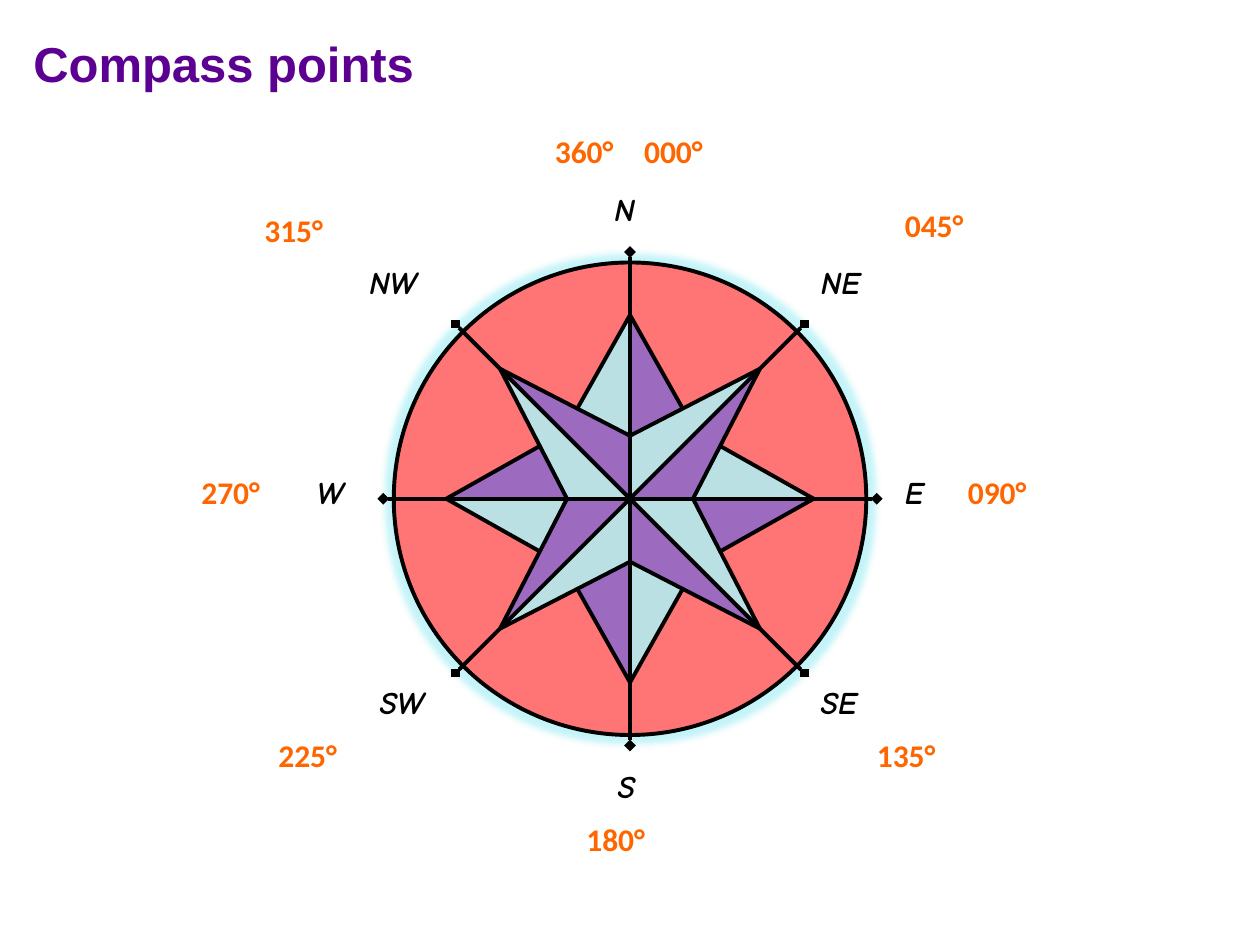
from math import cos, radians, sin

from lxml.etree import SubElement
from pptx import Presentation
from pptx.dml.color import RGBColor
from pptx.enum.shapes import MSO_CONNECTOR as Connector, MSO_SHAPE as Shape
from pptx.enum.text import MSO_ANCHOR as Anchor, MSO_AUTO_SIZE as AutoSize
from pptx.oxml.ns import qn
from pptx.util import Pt

COLORS = {
    "title": "5B0091",
    "dial": "FF7575",
    "glow": "C4F4F8",
    "light": "BBE0E3",
    "dark": "9C6ABE",
    "ink": "000000",
    "bearing": "FF6600",
}
DIAL_RADIUS, AXIS_RADIUS, TIP_RADIUS = 135, 141, 105
CARDINAL_NOTCH, DIAGONAL_NOTCH = 53.5, 36
LINE_WIDTH = 2.25

CARDINALS = [("N", 236, 33, 30), ("E", 402, 195, 26), ("W", 66, 195, 34), ("S", 238, 363, 27)]
DIAGONALS = [("NE", 354, 75, 40), ("SE", 354, 315, 38), ("SW", 102, 315, 46), ("NW", 96, 75, 48)]
BEARINGS = [
    ("000°", 253, 0, 66), ("045°", 402, 42, 66), ("090°", 438, 195, 66),
    ("135°", 386, 345, 66), ("180°", 220, 393, 66), ("225°", 44, 345, 66),
    ("270°", 0, 195, 66), ("315°", 36, 45, 66), ("360°", 202, 0, 50),
]


def color(name):
    return RGBColor.from_string(COLORS[name])


def polar(center, radius, bearing):
    angle = radians(bearing)
    return center[0] + radius * sin(angle), center[1] - radius * cos(angle)


def add_title(slide, left, top, width, height):
    frame = slide.shapes.add_textbox(Pt(left), Pt(top), Pt(width), Pt(height)).text_frame
    frame.word_wrap = True
    frame.vertical_anchor = Anchor.MIDDLE
    paragraph = frame.paragraphs[0]
    paragraph.text = "Compass points"
    font = paragraph.font
    font.name, font.size, font.bold = "Arial", Pt(28), True
    font.color.rgb = color("title")


def add_labels(slide, left, top, labels, font_name, color_name, italic):
    for text, x, y, width in labels:
        box = slide.shapes.add_textbox(Pt(left + x), Pt(top + y), Pt(width), Pt(29))
        frame = box.text_frame
        frame.word_wrap = False
        frame.auto_size = AutoSize.SHAPE_TO_FIT_TEXT
        paragraph = frame.paragraphs[0]
        paragraph.text = text
        font = paragraph.font
        font.name, font.size, font.bold, font.italic = font_name, Pt(18), True, italic
        font.color.rgb = color(color_name)


def add_dial(slide, center):
    dial = slide.shapes.add_shape(
        Shape.OVAL, Pt(center[0] - DIAL_RADIUS), Pt(center[1] - DIAL_RADIUS),
        Pt(2 * DIAL_RADIUS), Pt(2 * DIAL_RADIUS))
    dial.shadow.inherit = False
    dial.fill.solid()
    dial.fill.fore_color.rgb = color("dial")
    dial.line.color.rgb = color("ink")
    dial.line.width = Pt(LINE_WIDTH)
    effects = dial._element.spPr.find(qn("a:effectLst"))
    glow = SubElement(effects, qn("a:glow"), rad=str(Pt(8)))
    SubElement(glow, qn("a:srgbClr"), val=COLORS["glow"])


def add_facet(group, points, color_name):
    start, *others = [(Pt(x), Pt(y)) for x, y in points]
    builder = group.shapes.build_freeform(*start, scale=1.0)
    builder.add_line_segments(others, close=True)
    facet = builder.convert_to_shape()
    facet.shadow.inherit = False
    facet.fill.solid()
    facet.fill.fore_color.rgb = color(color_name)
    facet.line.fill.background()


def add_line(group, start, end, diamonds=False):
    line = group.shapes.add_connector(
        Connector.STRAIGHT, *[Pt(value) for value in (*start, *end)])
    line.line.color.rgb = color("ink")
    line.line.width = Pt(LINE_WIDTH)
    if diamonds:
        outline = line.line._get_or_add_ln()
        for tag in ("a:headEnd", "a:tailEnd"):
            SubElement(outline, qn(tag), type="diamond")
    SubElement(line._element.spPr, qn("a:effectLst"))


def add_star(slide, center, notch_radius, first_bearing):
    group = slide.shapes.add_group_shape()
    bearings = [first_bearing + 90 * step for step in range(4)]
    sides = [(-45, "light"), (45, "dark")]
    edges = []
    for bearing in bearings:
        tip = polar(center, TIP_RADIUS, bearing)
        for turn, color_name in sides:
            notch = polar(center, notch_radius, bearing + turn)
            add_facet(group, [center, tip, notch], color_name)
            edges.append((tip, notch))
    for tip, notch in edges:
        add_line(group, tip, notch)
    for bearing in bearings[:2]:
        add_line(group, polar(center, notch_radius, bearing + 45),
                 polar(center, notch_radius, bearing + 225))
        add_line(group, polar(center, AXIS_RADIUS, bearing),
                 polar(center, AXIS_RADIUS, bearing + 180), diamonds=True)


def add_compass(slide, left, top, width, height):
    center = left + width / 2, top + height / 2
    add_dial(slide, center)
    add_star(slide, center, CARDINAL_NOTCH, 0)
    add_labels(slide, left, top, CARDINALS, "Comic Neue", "ink", True)
    add_star(slide, center, DIAGONAL_NOTCH, 45)
    add_labels(slide, left, top, DIAGONALS, "Comic Neue", "ink", True)
    add_labels(slide, left, top, BEARINGS, "Calibri", "bearing", False)


def main():
    presentation = Presentation()
    presentation.slide_width, presentation.slide_height = Pt(720), Pt(540)
    slide = presentation.slides.add_slide(presentation.slide_layouts[6])
    add_title(slide, 12, 12, 612, 48)
    add_compass(slide, 108, 72, 504, 426)
    presentation.save("out.pptx")


if __name__ == "__main__":
    main()
